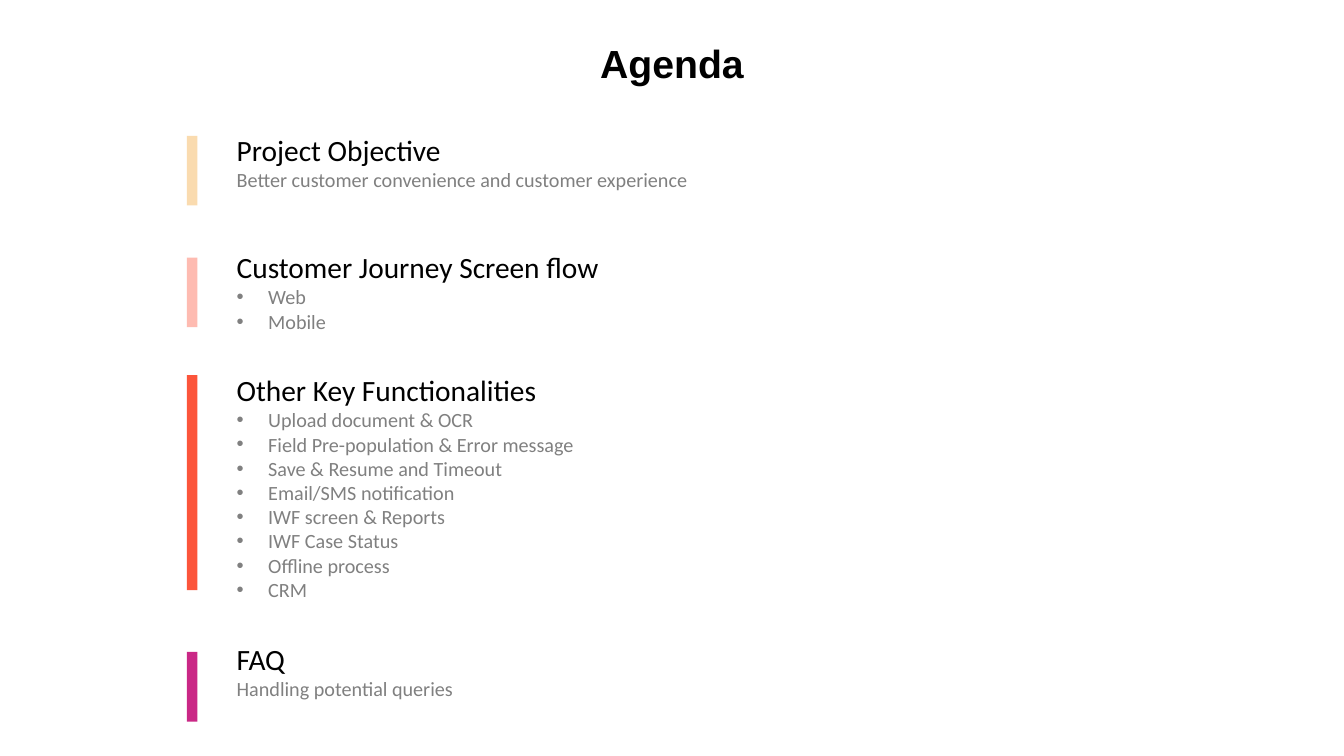
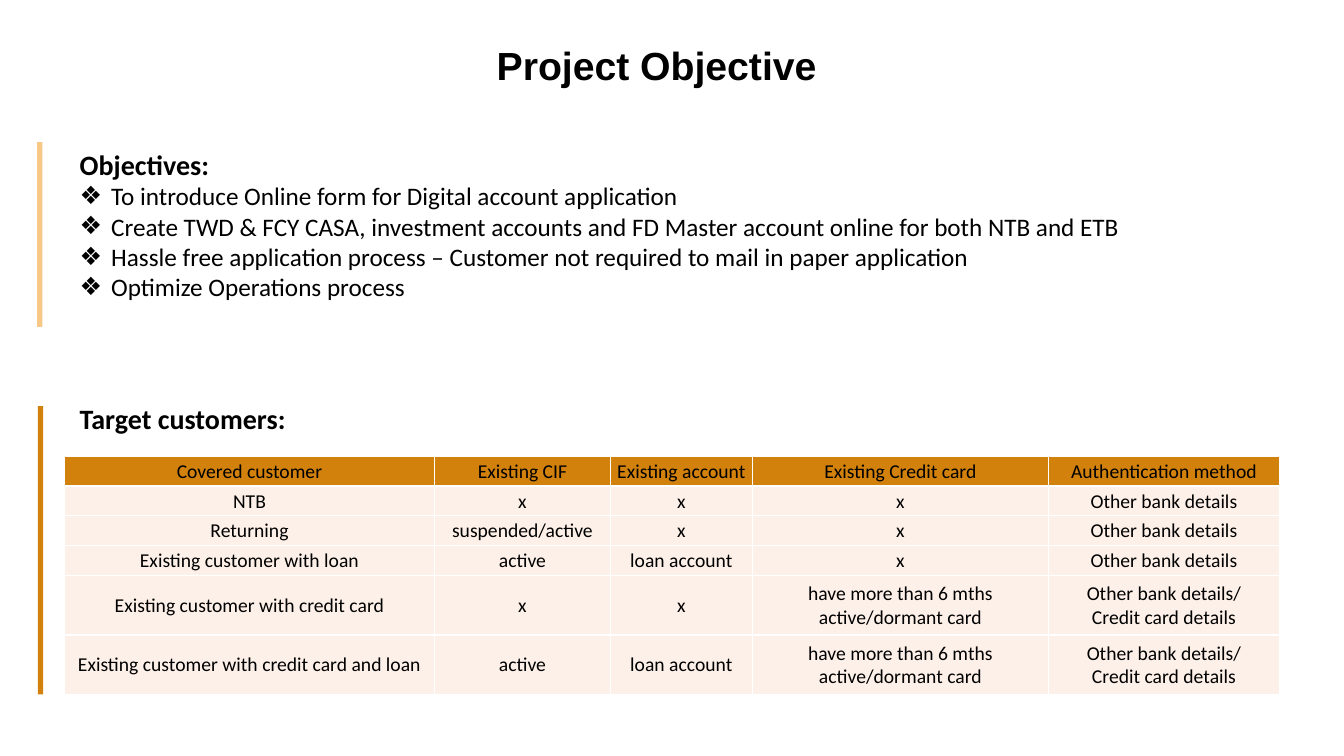
from lxml import etree
from pptx import Presentation
from pptx.dml.color import RGBColor
from pptx.enum import shapes, text
from pptx.oxml import ns
from pptx.util import Pt

# Shared look
BLACK, GREY, WHITE = "000000", "808080", "FFFFFF"
ORANGE, LIGHT_ORANGE, CELL_TINT = "D2810D", "F8C986", "FDF0E8"
TITLE_FONT, BODY_FONT = "Arial", "Calibri"
INDENT = 22.5


def color(hex_value):
    return RGBColor.from_string(hex_value)


def style(paragraph, size, hex_value=BLACK, bold=False, name=BODY_FONT):
    font = paragraph.font
    font.name, font.size, font.bold = name, Pt(size), bold
    font.color.rgb = color(hex_value)


def add_bullet(paragraph, character):
    properties = paragraph._p.get_or_add_pPr()
    properties.set("marL", str(Pt(INDENT)))
    properties.set("indent", str(-Pt(INDENT)))
    etree.SubElement(properties, ns.qn("a:buFont")).set("typeface", "Arial")
    etree.SubElement(properties, ns.qn("a:buChar")).set("char", character)


def add_text_frame(slide, left, top, width, height):
    box = slide.shapes.add_textbox(Pt(left), Pt(top), Pt(width), Pt(height))
    frame = box.text_frame
    frame.word_wrap = True
    frame.auto_size = text.MSO_AUTO_SIZE.SHAPE_TO_FIT_TEXT
    return frame


def add_title(slide, title, left, top):
    paragraph = add_text_frame(slide, left, top, 660, 41).paragraphs[0]
    paragraph.text = title
    paragraph.alignment = text.PP_ALIGN.CENTER
    style(paragraph, 28, bold=True, name=TITLE_FONT)


def add_bar(slide, left, top, width, height, fill):
    bar = slide.shapes.add_shape(
        shapes.MSO_SHAPE.RECTANGLE, Pt(left), Pt(top), Pt(width), Pt(height))
    bar.shadow.inherit = False
    bar.fill.solid()
    bar.fill.fore_color.rgb = color(fill)
    bar.line.fill.background()


def add_section(slide, box, heading, lines, heading_style, line_style, bullet=None):
    """A heading with plain or bulleted lines below it."""
    frame = add_text_frame(slide, *box)
    frame.paragraphs[0].text = heading
    style(frame.paragraphs[0], **heading_style)
    for line in lines:
        paragraph = frame.add_paragraph()
        paragraph.text = line
        if bullet:
            add_bullet(paragraph, bullet)
        style(paragraph, **line_style)


def add_customer_table(slide, left, top, widths, heights, rows):
    table = slide.shapes.add_table(
        len(rows), len(widths), Pt(left), Pt(top), Pt(sum(widths)), Pt(sum(heights))).table
    table.first_row = table.horz_banding = False
    for column, width in zip(table.columns, widths):
        column.width = Pt(width)
    for row_index, (row, height) in enumerate(zip(rows, heights)):
        table.rows[row_index].height = Pt(height)
        for column_index, value in enumerate(row):
            fill = CELL_TINT if row_index else ORANGE
            fill_cell(table.cell(row_index, column_index), value, fill)


def fill_cell(cell, value, fill):
    cell.margin_left = cell.margin_right = cell.margin_top = Pt(0.7)
    cell.margin_bottom = 0
    cell.vertical_anchor = text.MSO_ANCHOR.MIDDLE
    paragraph = cell.text_frame.paragraphs[0]
    paragraph.text = value
    paragraph.alignment = text.PP_ALIGN.CENTER
    style(paragraph, 14)
    # Borders come before the fill in the cell properties
    properties = cell._tc.get_or_add_tcPr()
    for side in ("lnL", "lnR", "lnT", "lnB"):
        line = etree.SubElement(properties, ns.qn(f"a:{side}"), w=str(Pt(1)))
        solid = etree.SubElement(line, ns.qn("a:solidFill"))
        etree.SubElement(solid, ns.qn("a:srgbClr"), val=WHITE)
    cell.fill.solid()
    cell.fill.fore_color.rgb = color(fill)


def build_agenda(slide):
    add_title(slide, "Agenda", 150, 24.5)
    # Bar top, bar height, bar colour, text top, heading, lines, bullet
    sections = [
        (97, 49.7, "FADBAF", 90.7, "Project Objective",
         ["Better customer convenience and customer experience"], None),
        (184, 49.7, "FEBBB1", 174.7, "Customer Journey Screen flow",
         ["Web", "Mobile"], "•"),
        (268, 153.5, "FC553B", 262.5, "Other Key Functionalities",
         ["Upload document & OCR", "Field Pre-population & Error message",
          "Save & Resume and Timeout", "Email/SMS notification",
          "IWF screen & Reports", "IWF Case Status", "Offline process", "CRM"], "•"),
        (465.7, 49.7, "CA2886", 454.5, "FAQ", ["Handling potential queries"], None),
    ]
    for bar_top, bar_height, fill, top, heading, lines, bullet in sections:
        add_bar(slide, 133.5, bar_top, 7.5, bar_height, fill)
        add_section(slide, (162, top, 390, 33 + 17.3 * len(lines)), heading, lines,
                    {"size": 21}, {"size": 14.4, "hex_value": GREY}, bullet)


def build_objective(slide):
    add_title(slide, "Project Objective", 139, 26)
    heading_style = {"size": 20, "bold": True}

    # Objectives
    add_bar(slide, 26.5, 101.5, 3.8, 132, LIGHT_ORANGE)
    add_section(slide, (49.8, 101.5, 849, 143), "Objectives:", [
        "To introduce Online form for Digital account application",
        "Create TWD & FCY CASA, investment accounts and FD Master account online "
        "for both NTB and ETB",
        "Hassle free application process – Customer not required to mail in paper application",
        "Optimize Operations process",
    ], heading_style, {"size": 18}, "❖")

    # Target customers
    add_bar(slide, 27, 290, 3.8, 206, ORANGE)
    add_section(slide, (49.8, 283.5, 291, 32), "Target customers:", [], heading_style, {})
    bank = "Other bank details"
    card_cells = ["have more than 6 mths active/dormant card",
                  "Other bank details/\nCredit card details"]
    add_customer_table(
        slide, 46, 325.8, [264.5, 125.5, 101.5, 211.5, 165], [21.3] * 4 + [42.6] * 2, [
            ["Covered customer", "Existing CIF", "Existing account",
             "Existing Credit card", "Authentication method"],
            ["NTB", "x", "x", "x", bank],
            ["Returning", "suspended/active", "x", "x", bank],
            ["Existing customer with loan", "active", "loan account", "x", bank],
            ["Existing customer with credit card", "x", "x", *card_cells],
            ["Existing customer with credit card and loan", "active", "loan account",
             *card_cells],
        ])


def main():
    presentation = Presentation()
    presentation.slide_width, presentation.slide_height = Pt(960), Pt(540)
    for build in (build_agenda, build_objective):
        build(presentation.slides.add_slide(presentation.slide_layouts[6]))
    presentation.save("out.pptx")


if __name__ == "__main__":
    main()
